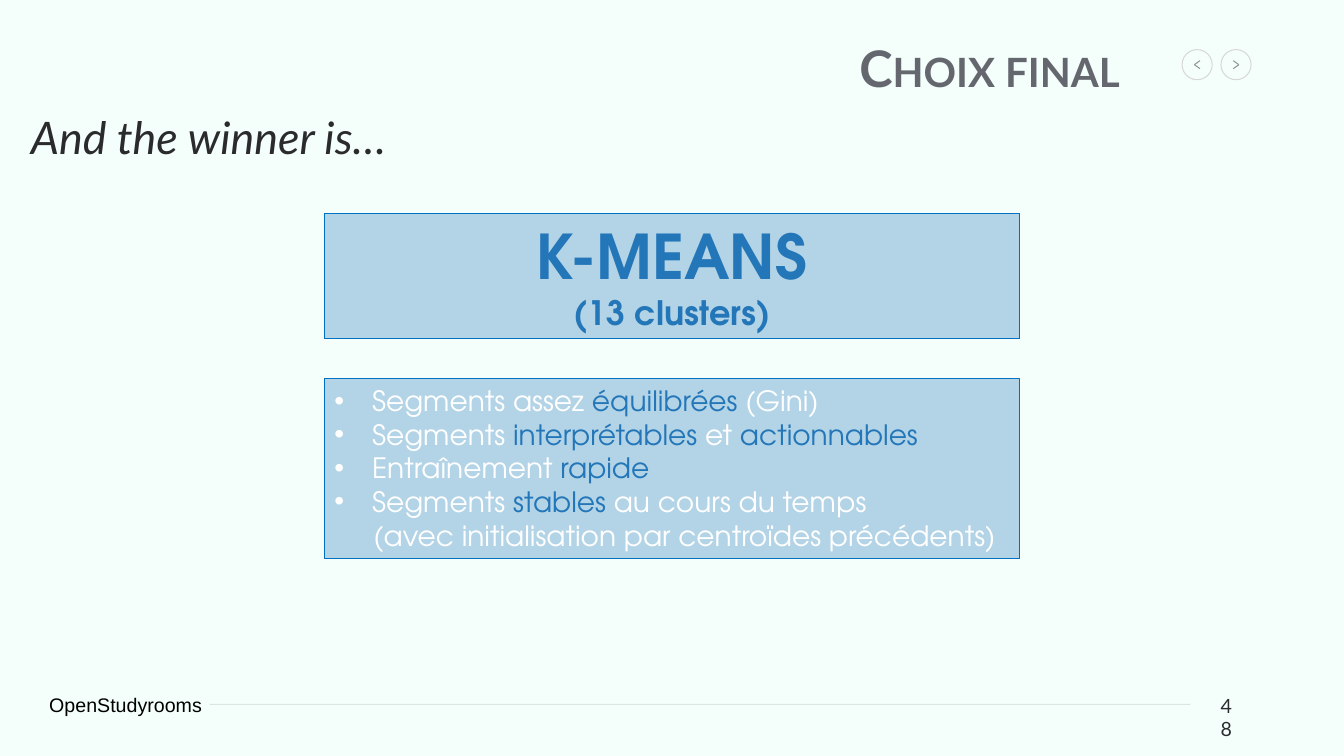
from dataclasses import dataclass

from lxml import etree
from pptx import Presentation
from pptx import util as u
from pptx.dml.color import RGBColor
from pptx.enum import shapes, text
from pptx.oxml.ns import qn


@dataclass(frozen=True)
class Theme:
    background: str = "F4FFFC"
    ink: str = "2B2B2D"
    title: str = "64676E"
    accent: str = "2376B8"
    border: str = "0070C0"
    white: str = "FFFFFF"
    black: str = "000000"
    rule: str = "7F7F7F"
    ring: str = "D8D8D8"
    chevron: str = "929297"
    text_font: str = "Lato"
    footer_font: str = "Arial"
    card_font: str = "TeX Gyre Adventor"
    winner_size: int = 44
    title_size: int = 36
    lead_size: int = 32
    clusters_size: int = 24
    list_size: int = 20
    footer_size: int = 14
    hairline: float = 0.75
    card_alpha: int = 31
    rule_alpha: int = 20


def set_alpha(owner, percent):
    """Make the only solid colour inside an XML element partly transparent."""
    colour = next(owner.iter(qn("a:srgbClr")))
    etree.SubElement(colour, qn("a:alpha")).set("val", str(percent * 1000))


def set_bullet(para, colour=None, margin=0.0, hanging=False):
    """Indent a paragraph; a colour gives it a round bullet."""
    props = para._p.get_or_add_pPr()
    props.set("marL", str(u.Cm(margin)))
    props.set("indent", str(-u.Cm(margin) if hanging else 0))
    if colour is None:
        etree.SubElement(props, qn("a:buNone"))
        return
    bullet_colour = etree.SubElement(props, qn("a:buClr"))
    etree.SubElement(bullet_colour, qn("a:srgbClr")).set("val", colour)
    etree.SubElement(props, qn("a:buFont")).set("typeface", "Arial")
    etree.SubElement(props, qn("a:buChar")).set("char", "•")


class SlideBuilder:
    def __init__(self, page, theme):
        self.page = page
        self.theme = theme
        fill = page.background.fill
        fill.solid()
        fill.fore_color.rgb = RGBColor.from_string(theme.background)

    def frame(self, box, anchor=text.MSO_ANCHOR.TOP):
        frame = box.text_frame
        formats = {
            "word_wrap": True, "auto_size": text.MSO_AUTO_SIZE.NONE,
            "vertical_anchor": anchor,
            "margin_left": u.Cm(0.25), "margin_right": u.Cm(0.25),
            "margin_top": u.Cm(0.13), "margin_bottom": u.Cm(0.13),
        }
        for name, value in formats.items():
            setattr(frame, name, value)
        return frame

    def paragraph(self, frame, spans, align=text.PP_ALIGN.LEFT, spacing=1.0, **font):
        """Fill the empty first paragraph or add one; spans are (words, colour)."""
        para = frame.paragraphs[0]
        if para.runs:
            para = frame.add_paragraph()
        para.alignment = align
        para.line_spacing = spacing
        para.space_before = u.Pt(0)
        for words, colour in spans:
            span = para.add_run()
            span.text = words
            span.font.color.rgb = RGBColor.from_string(colour)
            for name, value in font.items():
                setattr(span.font, name, u.Pt(value) if name == "size" else value)
        return para

    def placeholder(self, box, left, top, width, height, anchor):
        for name, value in zip(("left", "top", "width", "height"),
                               (left, top, width, height)):
            setattr(box, name, u.Cm(value))
        return self.frame(box, anchor)

    def textbox(self, left, top, width, height, words, colour, font):
        box = self.page.shapes.add_textbox(*map(u.Cm, (left, top, width, height)))
        self.paragraph(self.frame(box), [(words, colour)],
                       name=font, size=self.theme.footer_size)

    def outline(self, shape, colour):
        shape.line.color.rgb = RGBColor.from_string(colour)
        shape.line.width = u.Pt(self.theme.hairline)

    def line(self, start, end, colour, parent=None):
        owner = (parent or self.page).shapes
        line = owner.add_connector(shapes.MSO_CONNECTOR.STRAIGHT,
                                   *map(u.Cm, (*start, *end)))
        self.outline(line, colour)
        etree.SubElement(line._element.spPr, qn("a:effectLst"))
        return line

    def arrow_button(self, group, centre, middle, direction):
        """Draw a ring with a chevron; direction is -1 for left, 1 for right."""
        radius, reach, rise = 0.38, 0.07, 0.1
        ring = group.shapes.add_shape(
            shapes.MSO_SHAPE.OVAL, u.Cm(centre - radius), u.Cm(middle - radius),
            u.Cm(2 * radius), u.Cm(2 * radius))
        ring.shadow.inherit = False
        ring.fill.background()
        self.outline(ring, self.theme.ring)
        tip = (centre + direction * reach, middle)
        for side in (-rise, rise):
            arm = (centre - direction * reach, middle + side)
            self.line(tip, arm, self.theme.chevron, group)

    def card(self, top, height):
        box = self.page.shapes.add_shape(
            shapes.MSO_SHAPE.RECTANGLE, *map(u.Cm, (8.18, top, 17.52, height)))
        box.shadow.inherit = False
        box.fill.solid()
        box.fill.fore_color.rgb = RGBColor.from_string(self.theme.accent)
        set_alpha(box._element.spPr, self.theme.card_alpha)
        self.outline(box, self.theme.border)
        return self.frame(box)


def main():
    theme = Theme()
    deck = Presentation()
    deck.slide_width, deck.slide_height = u.Cm(33.87), u.Cm(19.05)
    page = deck.slides.add_slide(deck.slide_layouts[1])
    slide = SlideBuilder(page, theme)

    rule = slide.line((5.28, 17.75), (30, 17.75), theme.rule)
    set_alpha(rule._element.spPr, theme.rule_alpha)
    slide.textbox(0.99, 17.32, 4.65, 0.86, "OpenStudyrooms", theme.black,
                  theme.footer_font)
    slide.textbox(30.51, 17.35, 1.06, 0.86, "48", theme.ink, theme.text_font)
    buttons = page.shapes.add_group_shape()
    for centre, direction in ((30.17, -1), (31.15, 1)):
        slide.arrow_button(buttons, centre, 1.63, direction)

    title = slide.placeholder(page.shapes.title, 2.82, 0, 25.65, 3.58,
                              text.MSO_ANCHOR.MIDDLE)
    heading = slide.paragraph(title, [("Choix final", theme.title)],
                              text.PP_ALIGN.RIGHT, 0.9, name=theme.text_font,
                              size=theme.title_size, bold=True)
    heading.runs[0]._r.get_or_add_rPr().set("cap", "small")

    body = slide.placeholder(page.placeholders[1], 0.53, 2.79, 32, 15.54,
                             text.MSO_ANCHOR.TOP)
    lead = slide.paragraph(body, [("And the winner is…", theme.ink)], spacing=0.9,
                           name=theme.text_font, size=theme.lead_size, italic=True)
    set_bullet(lead)

    winner = slide.card(5.37, 3.17)
    for words, size in (("K-MEANS", theme.winner_size),
                        ("(13 clusters)", theme.clusters_size)):
        slide.paragraph(winner, [(words, theme.accent)], text.PP_ALIGN.CENTER,
                        name=theme.card_font, size=size, bold=True)

    reasons = slide.card(9.54, 4.53)
    plain, strong = theme.white, theme.accent
    points = [
        [("Segments assez ", plain), ("équilibrées", strong), (" (Gini)", plain)],
        [("Segments ", plain), ("interprétables", strong), (" et ", plain),
         ("actionnables", strong)],
        [("Entraînement ", plain), ("rapide", strong)],
        [("Segments ", plain), ("stables", strong), (" au cours du temps", plain)],
    ]
    card_text = {"name": theme.card_font, "size": theme.list_size}
    for spans in points:
        point = slide.paragraph(reasons, spans, **card_text)
        set_bullet(point, plain, 0.95, hanging=True)
    detail = slide.paragraph(
        reasons, [("(avec initialisation par centroïdes précédents)", plain)],
        **card_text)
    set_bullet(detail, margin=0.98)

    deck.save("out.pptx")


if __name__ == "__main__":
    main()
